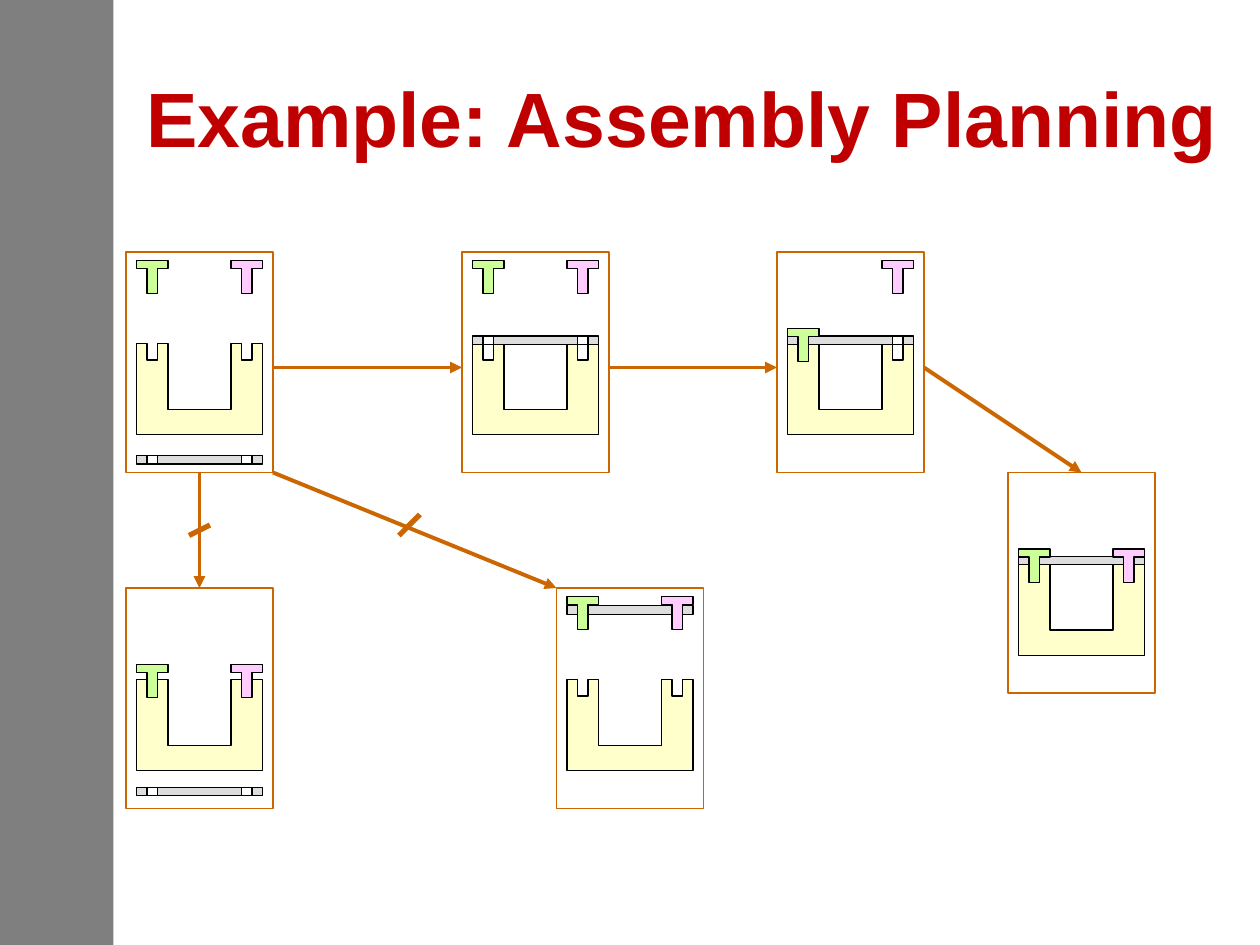
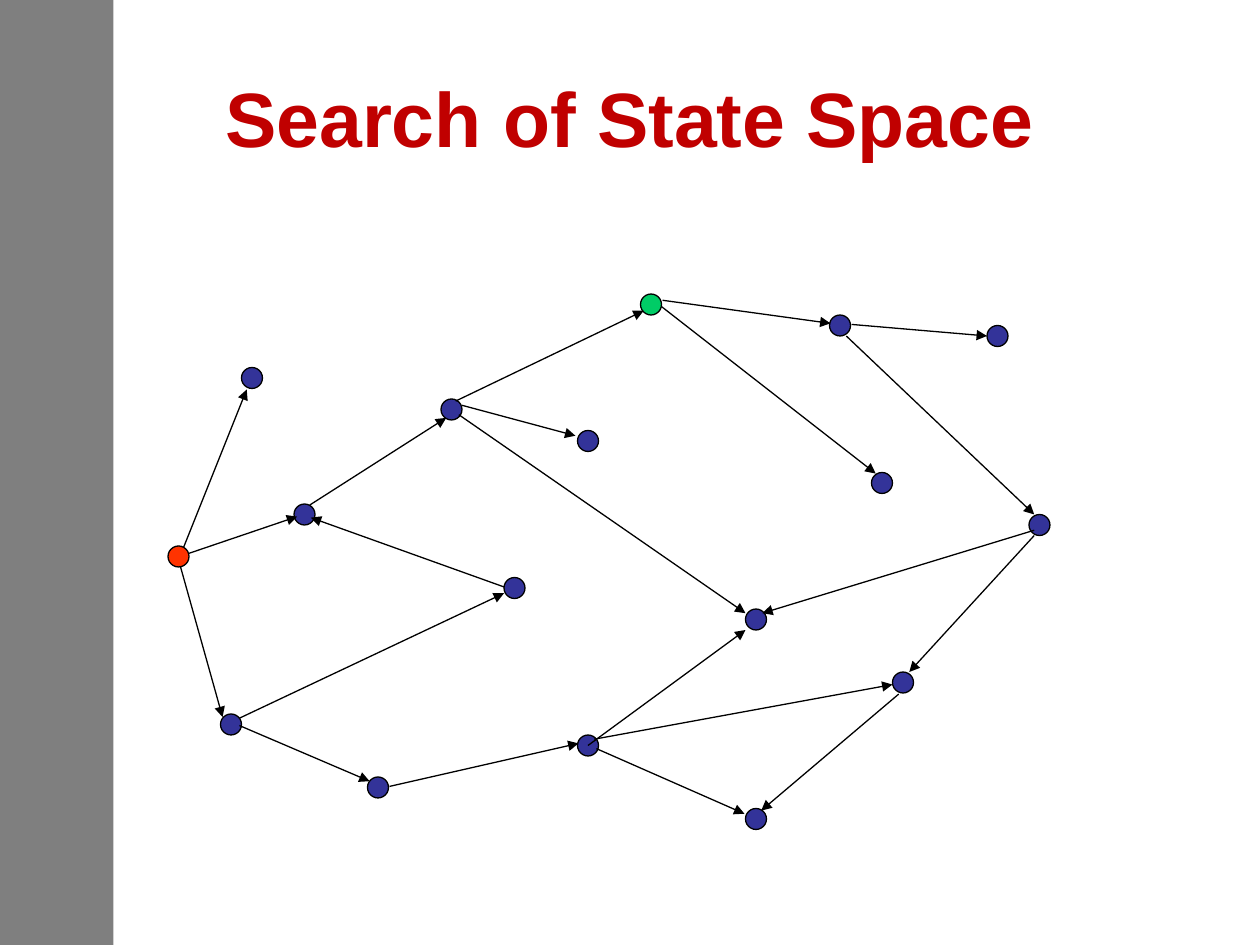
"""Build two slides on state-space search: an assembly example and its search graph."""
from lxml.etree import SubElement
from pptx import Presentation
from pptx.dml.color import RGBColor
from pptx.enum.shapes import MSO_CONNECTOR, MSO_SHAPE
from pptx.enum.text import MSO_ANCHOR, PP_ALIGN
from pptx.oxml.ns import qn
from pptx.util import Inches, Pt

BLACK = RGBColor(0x00, 0x00, 0x00)
WHITE = RGBColor(0xFF, 0xFF, 0xFF)
TITLE_RED = RGBColor(0xC0, 0x00, 0x00)
ORANGE = RGBColor(0xCC, 0x66, 0x00)
BASE_YELLOW = RGBColor(0xFF, 0xFF, 0xCC)
PLATE_GREY = RGBColor(0xDD, 0xDD, 0xDD)
BOLT_GREEN = RGBColor(0xCC, 0xFF, 0x99)
BOLT_PINK = RGBColor(0xFF, 0xCC, 0xFF)
NODE_BLUE = RGBColor(0x33, 0x33, 0x99)
START_RED = RGBColor(0xFF, 0x33, 0x00)
GOAL_GREEN = RGBColor(0x00, 0xCC, 0x66)

CELL = Inches(1) // 12
COLUMNS, ROWS = 120, 90


def paint(part, fill, outline=BLACK):
    part.shadow.inherit = False
    if fill is None:
        part.fill.background()
    else:
        part.fill.solid()
        part.fill.fore_color.rgb = fill
    if outline is None:
        part.line.fill.background()
    else:
        part.line.color.rgb = outline
        part.line.width = Pt(0.75)


def draw_line(slide, ends, color, width, arrow=True):
    link = slide.shapes.add_connector(
        MSO_CONNECTOR.STRAIGHT, *[round(end * CELL) for end in ends])
    link.line.color.rgb = color
    link.line.width = Pt(width)
    if arrow:
        SubElement(link.line._get_or_add_ln(), qn("a:tailEnd"), type="triangle")
    SubElement(link._element.spPr, qn("a:effectLst"))


deck = Presentation()
deck.slide_width, deck.slide_height = COLUMNS * CELL, ROWS * CELL

slides = []
for heading, heading_column in (("Example: Assembly Planning", 11),
                                ("Search of State Space", 6)):
    slide = deck.slides.add_slide(deck.slide_layouts[6])
    band = slide.shapes.add_shape(MSO_SHAPE.RECTANGLE, 0, 0, Inches(0.9), ROWS * CELL)
    paint(band, BLACK, None)
    band_color = band._element.spPr.find(qn("a:solidFill"))[0]
    SubElement(band_color, qn("a:alpha"), val="50000")

    title = slide.shapes.add_textbox(heading_column * CELL, Inches(0.3), 108 * CELL, 15 * CELL)
    title.text_frame.word_wrap = True
    title.text_frame.vertical_anchor = MSO_ANCHOR.MIDDLE
    title.text_frame.text = heading
    line = title.text_frame.paragraphs[0]
    line.alignment = PP_ALIGN.CENTER
    font = line.runs[0].font
    font.name, font.size, font.bold = "Arial", Pt(44), True
    font.color.rgb = TITLE_RED
    slides.append(slide)

assembly, search = slides

BASE_OUTLINE = [(0, 0), (1, 0), (1, 1.6), (2, 1.6), (2, 0), (3, 0), (3, 6.3), (9, 6.3),
                (9, 0), (10, 0), (10, 1.6), (11, 1.6), (11, 0), (12, 0), (12, 8.7), (0, 8.7)]
BOLT_OUTLINE = [(0, 0), (3, 0), (3, 0.75), (2, 0.75), (2, 3.15),
                (1, 3.15), (1, 0.75), (0, 0.75)]
BASE_ROW = 8.7
PLATE_HEIGHT = 0.8
PLATE_LOW, PLATE_ON, PLATE_HIGH = 19.4, 8, 1.7
BOLT_FREE, BOLT_IN = 0.8, 7.3

states = [
    (12, 24, PLATE_LOW, BOLT_FREE, BOLT_FREE),
    (74, 24, PLATE_ON, BOLT_IN, BOLT_FREE),
    (53, 56, PLATE_HIGH, BOLT_FREE, BOLT_FREE),
    (44, 24, PLATE_ON, BOLT_FREE, BOLT_FREE),
    (12, 56, 19, BOLT_IN, BOLT_IN),
    (96, 45, PLATE_ON, BOLT_IN, BOLT_IN),
]
for column, row, plate_row, green_row, pink_row in states:
    pieces = [
        (BASE_OUTLINE, 1, BASE_ROW, BASE_YELLOW),
        (12, 1, plate_row, PLATE_GREY),
        (1, 11, plate_row, WHITE),
        (1, 2, plate_row, WHITE),
        (BOLT_OUTLINE, 1, green_row, BOLT_GREEN),
        (BOLT_OUTLINE, 10, pink_row, BOLT_PINK),
    ]
    for form, across, down, color in pieces:
        left, top = (column + across) * CELL, round((row + down) * CELL)
        if isinstance(form, list):
            corners = [(x * CELL, y * CELL) for x, y in form]
            outline = assembly.shapes.build_freeform(*corners[0])
            outline.add_line_segments(corners[1:], close=True)
            piece = outline.convert_to_shape(left, top)
        else:
            piece = assembly.shapes.add_shape(
                MSO_SHAPE.RECTANGLE, left, top, form * CELL, round(PLATE_HEIGHT * CELL))
        paint(piece, color)
    frame = assembly.shapes.add_shape(
        MSO_SHAPE.RECTANGLE, column * CELL, row * CELL, 14 * CELL, 21 * CELL)
    paint(frame, None, ORANGE)

moves = [(19, 45, 19, 56), (26, 35, 44, 35), (26, 45, 53, 56),
         (58, 35, 74, 35), (88, 35, 103, 45)]
for move in moves:
    draw_line(assembly, move, ORANGE, 2.25)
for strike in [(18, 51, 20, 50), (38, 51, 40, 49)]:
    draw_line(assembly, strike, ORANGE, 3, arrow=False)

start, goal = (16, 52), (61, 28)
nodes = [(23, 35), (28, 48), (21, 68), (48, 55), (42, 38), (55, 41), (83, 45), (85, 64),
         (71, 58), (35, 74), (55, 70), (71, 77), (79, 30), (98, 49), (94, 31)]
edges = [
    (17.5, 52.1, 23.5, 37.1), (18, 52.7, 28.3, 49.2), (17.2, 54, 21.2, 68.3),
    (22.8, 69.1, 35.2, 74.4), (22.8, 68.4, 48, 56.5), (37.1, 74.9, 55.1, 70.8),
    (48, 55.9, 29.6, 49.3), (56.8, 71.3, 70.9, 77.5), (29.5, 48.1, 42.5, 39.8),
    (44, 38.6, 54.8, 41.5), (43.4, 38.2, 61.3, 29.6), (43.7, 39.5, 71, 58.4),
    (56.6, 70.4, 85, 65.2), (85.6, 66.1, 72.5, 77.2), (63, 29.2, 83.4, 45.1),
    (63.1, 28.6, 79.1, 30.8), (81.1, 30.9, 94, 32), (80.6, 32, 98.5, 49),
    (98.5, 50.5, 72.6, 58.4), (98.5, 51, 86.6, 64), (56, 71, 71, 60),
]
for edge_layer, spots in ((edges, [(spot, NODE_BLUE) for spot in nodes]),
                          ([], [(start, START_RED), (goal, GOAL_GREEN)])):
    for (column, row), color in spots:
        node = search.shapes.add_shape(
            MSO_SHAPE.OVAL, column * CELL, row * CELL, 2 * CELL, 2 * CELL)
        paint(node, color)
    for edge in edge_layer:
        draw_line(search, edge, BLACK, 0.75)

deck.save("out.pptx")
